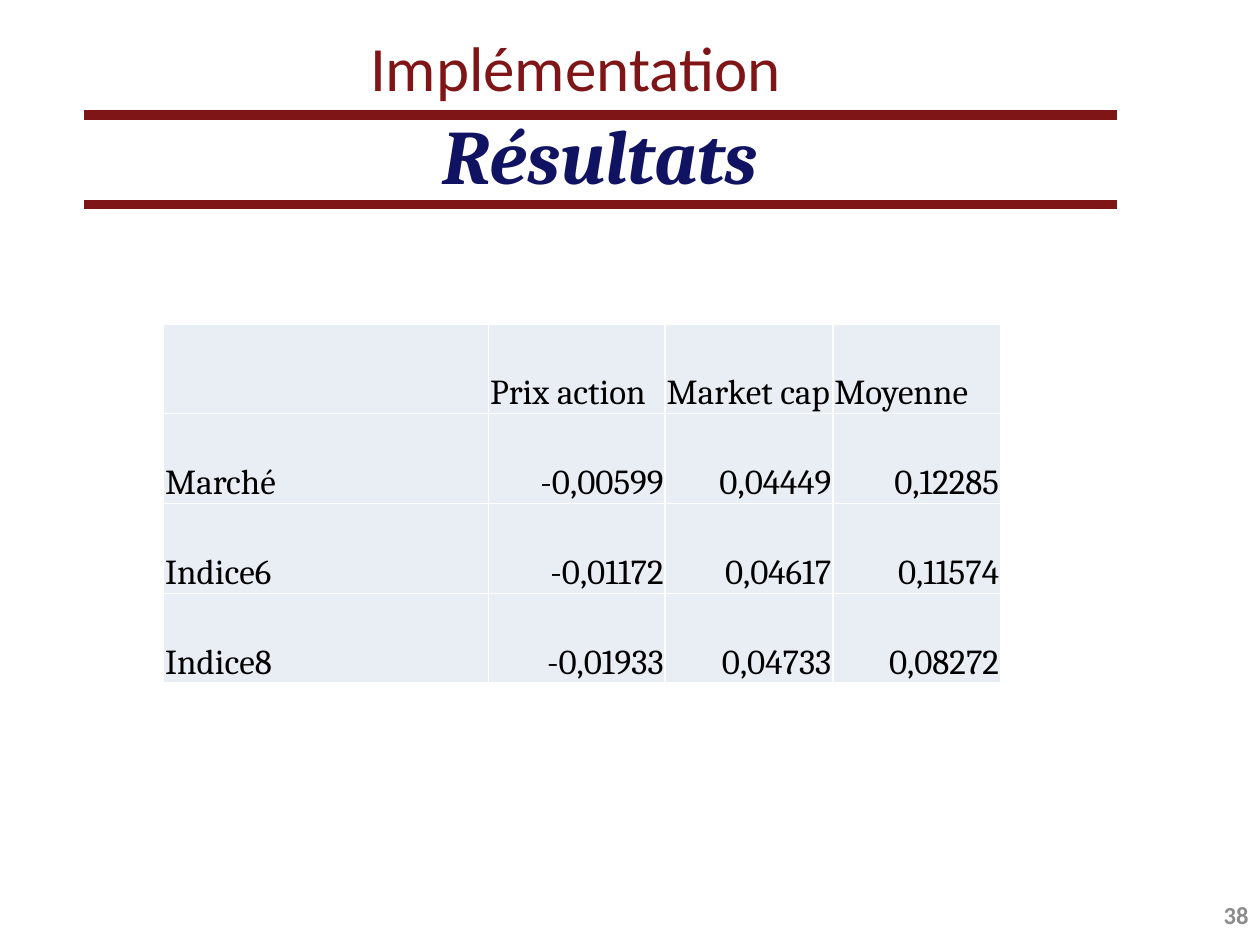
from lxml.etree import SubElement
from pptx import Presentation
from pptx.dml.color import RGBColor
from pptx.enum.text import MSO_ANCHOR, PP_ALIGN
from pptx.oxml.ns import qn
from pptx.util import Cm, Pt

DARK_RED = "801517"
RESULTS = [
    ["", "Prix action", "Market cap", "Moyenne"],
    ["Marché", "-0,00599", "0,04449", "0,12285"],
    ["Indice6", "-0,01172", "0,04617", "0,11574"],
    ["Indice8", "-0,01933", "0,04733", "0,08272"],
]


def color(value):
    return RGBColor.from_string(value)


def style_paragraph(paragraph, font_name, size, font_color, align,
                    bold=False, italic=False):
    paragraph.alignment = align
    font = paragraph.font
    font.name, font.size = font_name, Pt(size)
    font.bold, font.italic = bold, italic
    font.color.rgb = color(font_color)


def add_label(slide, text, left, top, width, height, **style):
    frame = slide.shapes.add_textbox(left, top, width, height).text_frame
    frame.word_wrap = True
    frame.vertical_anchor = MSO_ANCHOR.MIDDLE
    frame.text = text
    style_paragraph(frame.paragraphs[0], "Calibri", **style)


def add_plain_table(slide, left, top, widths, heights):
    """Add a table without header or banding, sized in centimetres."""
    table = slide.shapes.add_table(
        len(heights), len(widths), Cm(left), Cm(top),
        Cm(sum(widths)), Cm(sum(heights))).table
    table.first_row = table.horz_banding = False
    for column, width in zip(table.columns, widths):
        column.width = Cm(width)
    for row, height in zip(table.rows, heights):
        row.height = Cm(height)
    return table


def set_margins(cell, side, top, bottom):
    cell.margin_left = cell.margin_right = Cm(side)
    cell.margin_top, cell.margin_bottom = Cm(top), Cm(bottom)


def set_borders(cell, sides, line_color, width):
    """Draw borders on the given sides, listed in the order L, R, T, B."""
    properties = cell._tc.get_or_add_tcPr()
    for index, side in enumerate(sides):
        line = properties.makeelement(qn(f"a:ln{side}"), w=str(Pt(width)))
        fill = SubElement(line, qn("a:solidFill"))
        SubElement(fill, qn("a:srgbClr"), val=line_color)
        properties.insert(index, line)


def add_heading_table(slide):
    table = add_plain_table(slide, 1.7, 1.73, [20.8], [0.59, 1.8])
    spacer, heading = table.cell(0, 0), table.cell(1, 0)
    for cell, sides in ((spacer, "B"), (heading, "TB")):
        cell.fill.background()
        cell.vertical_anchor = MSO_ANCHOR.MIDDLE
        set_margins(cell, 0.13, 0, 0)
        set_borders(cell, sides, DARK_RED, 6)
    SubElement(spacer.text_frame.paragraphs[0]._p, qn("a:endParaRPr"), sz="800")
    heading.text = "Résultats"
    style_paragraph(heading.text_frame.paragraphs[0], "Cambria", 44, "101362",
                    PP_ALIGN.CENTER, bold=True, italic=True)


def add_results_table(slide):
    table = add_plain_table(slide, 3.3, 6.53, [6.55, 3.56, 3.38, 3.38],
                            [1.81] * len(RESULTS))
    for row, values in enumerate(RESULTS):
        for column, value in enumerate(values):
            cell = table.cell(row, column)
            cell.text = value
            cell.vertical_anchor = MSO_ANCHOR.BOTTOM
            set_margins(cell, 0.03, 0.03, 0)
            cell.fill.solid()
            cell.fill.fore_color.rgb = color("E9EDF4")
            set_borders(cell, "LRTB", "FFFFFF", 1)
            is_number = row > 0 and column > 0
            style_paragraph(cell.text_frame.paragraphs[0], "Cambria", 20, "000000",
                            PP_ALIGN.RIGHT if is_number else PP_ALIGN.LEFT)


def main():
    presentation = Presentation()
    presentation.slide_width, presentation.slide_height = Cm(25.4), Cm(19.05)
    slide = presentation.slides.add_slide(presentation.slide_layouts[6])
    add_heading_table(slide)
    add_label(slide, "38", Cm(19.5), Cm(17.93), Cm(5.92), Cm(1.02),
              size=14, font_color="8C8C8C", align=PP_ALIGN.RIGHT, bold=True)
    add_label(slide, "Implémentation", Cm(1.5), Cm(0.33), Cm(20.2), Cm(2),
              size=36, font_color=DARK_RED, align=PP_ALIGN.CENTER)
    add_results_table(slide)
    presentation.save("out.pptx")


if __name__ == "__main__":
    main()
